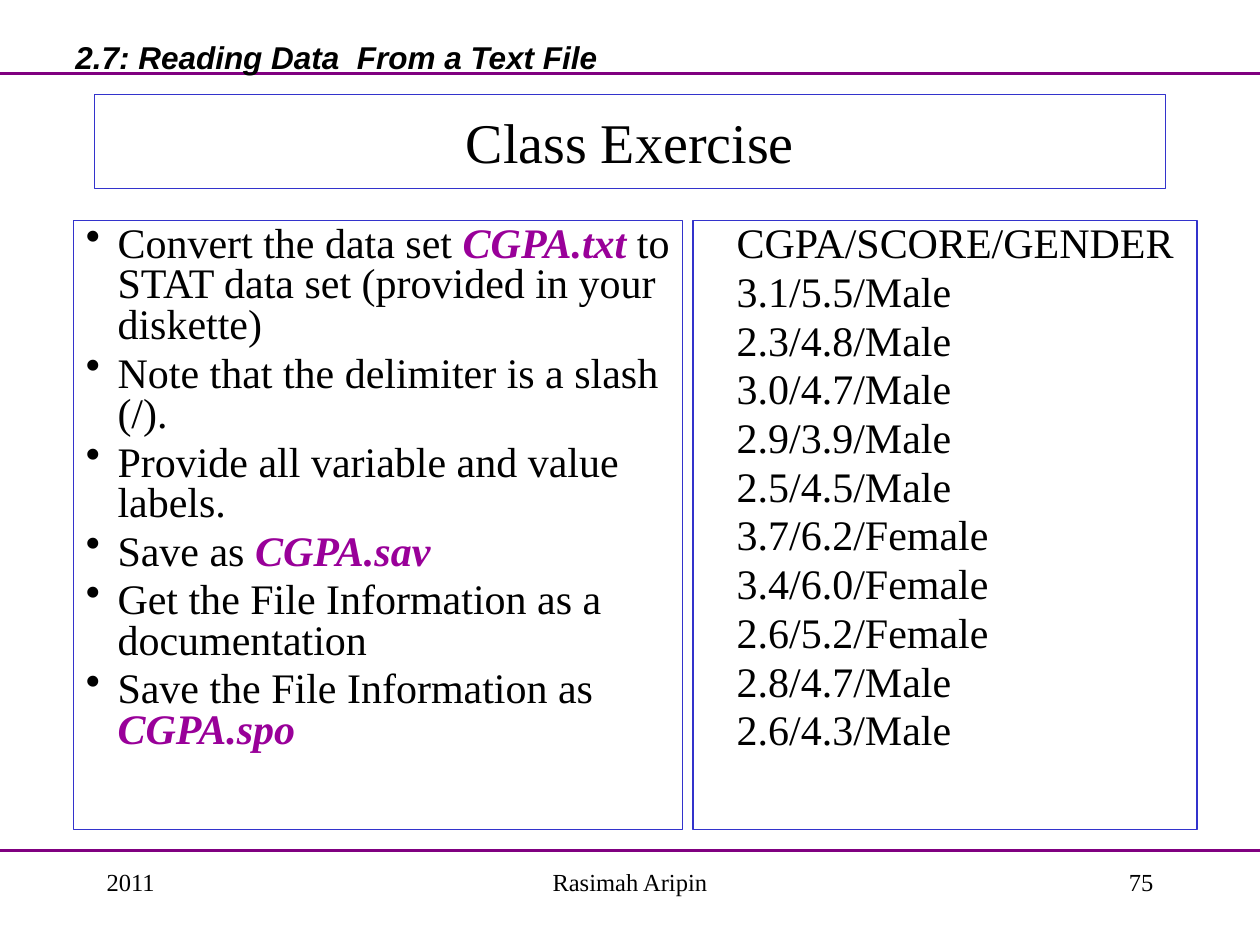
from dataclasses import dataclass

from lxml.etree import SubElement
from pptx import Presentation
from pptx.dml.color import RGBColor
from pptx.enum.shapes import MSO_CONNECTOR, MSO_SHAPE
from pptx.enum.text import MSO_ANCHOR, PP_ALIGN
from pptx.oxml.ns import qn
from pptx.util import Cm, Pt


@dataclass(frozen=True)
class Theme:
    ink: RGBColor = RGBColor(0x00, 0x00, 0x00)
    file_name: RGBColor = RGBColor(0x99, 0x00, 0x99)
    frame: RGBColor = RGBColor(0x33, 0x33, 0xCC)
    rule: RGBColor = RGBColor(0x80, 0x00, 0x80)
    serif: str = "Times New Roman"
    sans: str = "Arial"
    title: Pt = Pt(32)
    body: Pt = Pt(24)
    section: Pt = Pt(18)
    footer: Pt = Pt(14)
    paragraph_gap: Pt = Pt(4.8)


class SlideBuilder:
    def __init__(self, slide, theme):
        self.slide = slide
        self.theme = theme

    def style(self, run, size, font=None, accent=False, slanted_bold=False):
        run.font.name = font or self.theme.serif
        run.font.size = size
        run.font.bold = run.font.italic = accent or slanted_bold
        run.font.color.rgb = self.theme.file_name if accent else self.theme.ink

    def rule(self, y):
        line = self.slide.shapes.add_connector(
            MSO_CONNECTOR.STRAIGHT, Cm(0), Cm(y), Cm(25.4), Cm(y))
        line.line.color.rgb = self.theme.rule
        line.line.width = Pt(2)
        SubElement(line._element.spPr, qn("a:effectLst"))

    def label(self, text, box, size, align=PP_ALIGN.LEFT, **look):
        area = self.slide.shapes.add_textbox(*map(Cm, box))
        area.text_frame.word_wrap = True
        self.line_of_text(area.text_frame, text, size, align, **look)

    def line_of_text(self, frame, text, size, align, **look):
        frame.text = text
        paragraph = frame.paragraphs[0]
        paragraph.alignment = align
        self.style(paragraph.runs[0], size, **look)

    def panel(self, box, anchor=MSO_ANCHOR.TOP):
        area = self.slide.shapes.add_shape(MSO_SHAPE.RECTANGLE, *map(Cm, box))
        area.shadow.inherit = False
        area.fill.background()
        area.line.color.rgb = self.theme.frame
        area.line.width = Pt(0.75)
        area.text_frame.word_wrap = True
        area.text_frame.vertical_anchor = anchor
        return area.text_frame

    def title(self, text, box):
        frame = self.panel(box, MSO_ANCHOR.MIDDLE)
        self.line_of_text(frame, text, self.theme.title, PP_ALIGN.CENTER)

    def text_list(self, items, box, margin, indent, bullet=None):
        frame = self.panel(box)
        for index, pieces in enumerate(items):
            paragraph = frame.add_paragraph() if index else frame.paragraphs[0]
            properties = paragraph._p.get_or_add_pPr()
            properties.set("marL", str(Cm(margin)))
            properties.set("indent", str(Cm(indent)))
            if bullet:
                SubElement(properties, qn("a:buChar"), char=bullet)
            else:
                SubElement(properties, qn("a:buNone"))
            paragraph.alignment = PP_ALIGN.LEFT
            paragraph.line_spacing = 0.8
            paragraph.space_before = self.theme.paragraph_gap if index else Pt(0)
            for position, piece in enumerate(pieces):
                run = paragraph.add_run()
                run.text = piece
                self.style(run, self.theme.body, accent=position % 2 == 1)


TASKS = [
    ("Convert the data set ", "CGPA.txt ",
     "to STAT data set (provided in your diskette)"),
    ("Note that the delimiter is a slash (/).",),
    ("Provide all variable and value labels.",),
    ("Save as ", "CGPA.sav"),
    ("Get the File Information as a documentation",),
    ("Save the File Information as ", "CGPA.spo"),
]

RECORDS = [
    "CGPA/SCORE/GENDER", "3.1/5.5/Male", "2.3/4.8/Male", "3.0/4.7/Male",
    "2.9/3.9/Male", "2.5/4.5/Male", "3.7/6.2/Female", "3.4/6.0/Female",
    "2.6/5.2/Female", "2.8/4.7/Male", "2.6/4.3/Male",
]


def main():
    deck = Presentation()
    deck.slide_width, deck.slide_height = Cm(25.4), Cm(19.05)
    theme = Theme()
    builder = SlideBuilder(deck.slides.add_slide(deck.slide_layouts[6]), theme)

    for y in (17.15, 1.48):
        builder.rule(y)

    for text, left, width, align in (
        ("2011", 1.9, 5.3, PP_ALIGN.LEFT),
        ("Rasimah Aripin", 8.68, 8.04, PP_ALIGN.CENTER),
        ("75", 18.2, 5.3, PP_ALIGN.RIGHT),
    ):
        builder.label(text, (left, 17.36, width, 1.27), theme.footer, align)

    builder.title("Class Exercise", (1.9, 1.9, 21.6, 1.9))
    builder.text_list(TASKS, (1.48, 4.44, 12.28, 12.28), 0.64, -0.64, "•")
    builder.text_list([(record,) for record in RECORDS],
                      (13.97, 4.44, 10.16, 12.28), 0.81, -0.18)
    builder.label("2.7: Reading Data  From a Text File", (1.27, 0.64, 11.64, 1.02),
                  theme.section, font=theme.sans, slanted_bold=True)

    deck.save("out.pptx")


if __name__ == "__main__":
    main()
